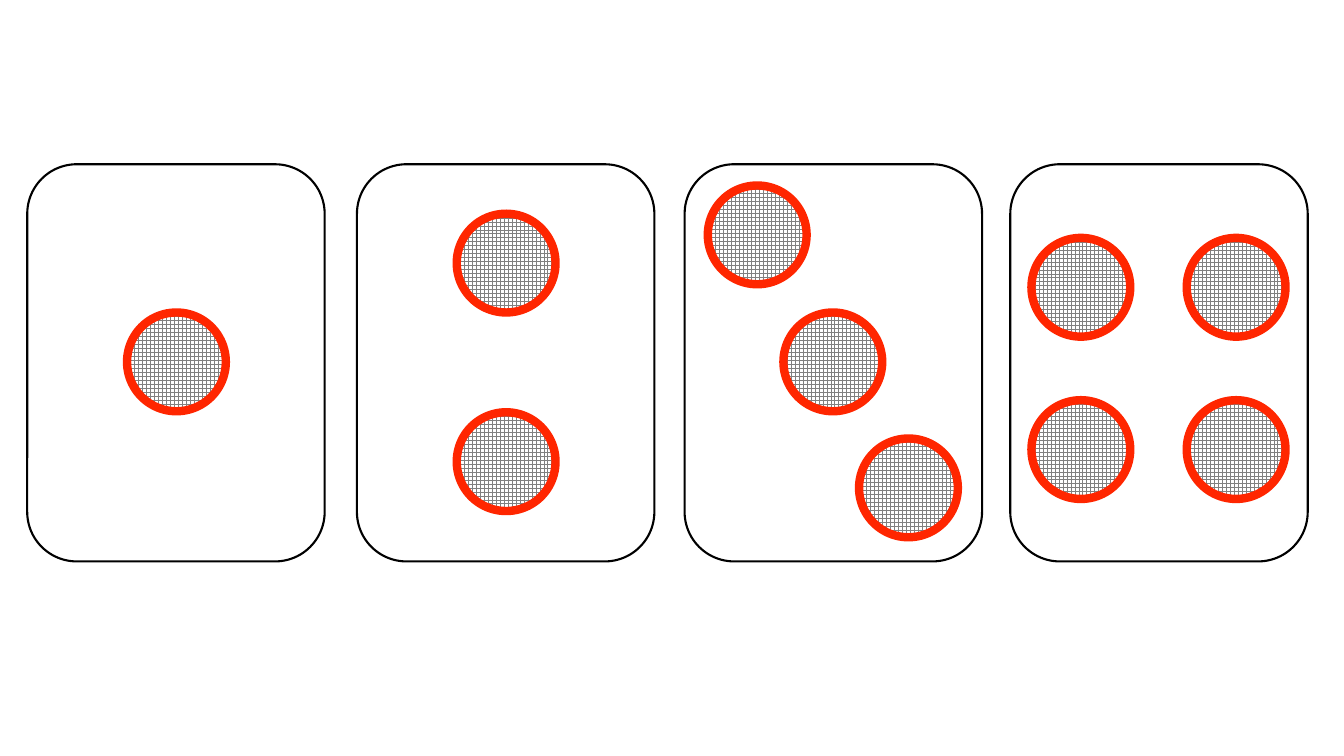
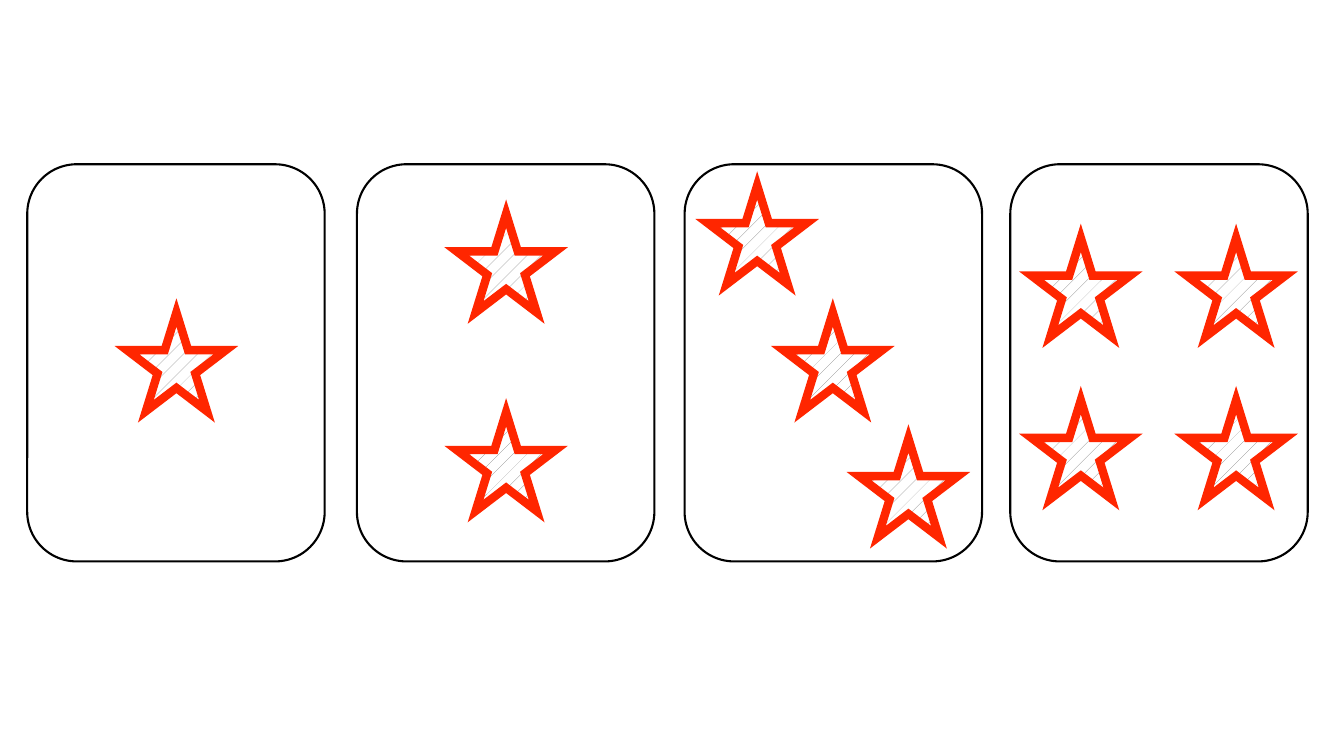
"""Build two slides of counting cards: one to four circles, then one to four stars."""
from dataclasses import dataclass
from itertools import product

from lxml.etree import SubElement
from pptx import Presentation
from pptx.dml.color import RGBColor
from pptx.enum.dml import MSO_PATTERN as Pattern
from pptx.enum.shapes import MSO_SHAPE as Preset
from pptx.oxml.ns import qn
from pptx.util import Inches, Pt


@dataclass(frozen=True)
class Theme:
    white: RGBColor = RGBColor.from_string("FFFFFF")
    black: RGBColor = RGBColor.from_string("000000")
    red: RGBColor = RGBColor.from_string("FF2600")
    grey: RGBColor = RGBColor.from_string("808080")
    card_line: float = 1.5
    symbol_line: float = 6


THEME = Theme()
CARD_LEFTS = (0.27, 3.54, 6.79, 10.02)
CARD_TOP, CARD_WIDTH, CARD_HEIGHT = 1.63, 2.95, 3.94
SYMBOL_SIZE = 0.98
SYMBOL_OFFSETS = (
    [(0.99, 1.47)],
    [(0.99, 0.49), (0.99, 2.46)],
    [(0.23, 0.21), (0.98, 1.47), (1.73, 2.72)],
    list(product((0.21, 1.75), (0.73, 2.34))),
)
SYMBOLS = (
    (Preset.OVAL, Pattern.LARGE_GRID),
    (Preset.STAR_5_POINT, Pattern.PERCENT_5),
)


def add_outlined(page, preset, left, top, width, height, color, weight):
    shape = page.shapes.add_shape(
        preset, Inches(left), Inches(top), Inches(width), Inches(height))
    shape.shadow.inherit = False
    shape.line.color.rgb = color
    shape.line.width = Pt(weight)
    outline = shape.element.spPr.find(qn("a:ln"))
    SubElement(outline, qn("a:miter"), lim="800000")
    return shape


deck = Presentation()
deck.slide_width, deck.slide_height = Inches(13.33), Inches(7.5)

for preset, pattern in SYMBOLS:
    page = deck.slides.add_slide(deck.slide_layouts[6])
    page.background.fill.solid()
    page.background.fill.fore_color.rgb = THEME.white
    for card_left, offsets in zip(CARD_LEFTS, SYMBOL_OFFSETS):
        card = add_outlined(page, Preset.ROUNDED_RECTANGLE, card_left, CARD_TOP,
                            CARD_WIDTH, CARD_HEIGHT, THEME.black, THEME.card_line)
        card.fill.solid()
        card.fill.fore_color.rgb = THEME.white
        for across, down in offsets:
            symbol = add_outlined(page, preset, card_left + across, CARD_TOP + down,
                                  SYMBOL_SIZE, SYMBOL_SIZE, THEME.red, THEME.symbol_line)
            symbol.fill.patterned()
            symbol.fill.pattern = pattern
            symbol.fill.fore_color.rgb = THEME.grey
            symbol.fill.back_color.rgb = THEME.white

deck.save("out.pptx")
